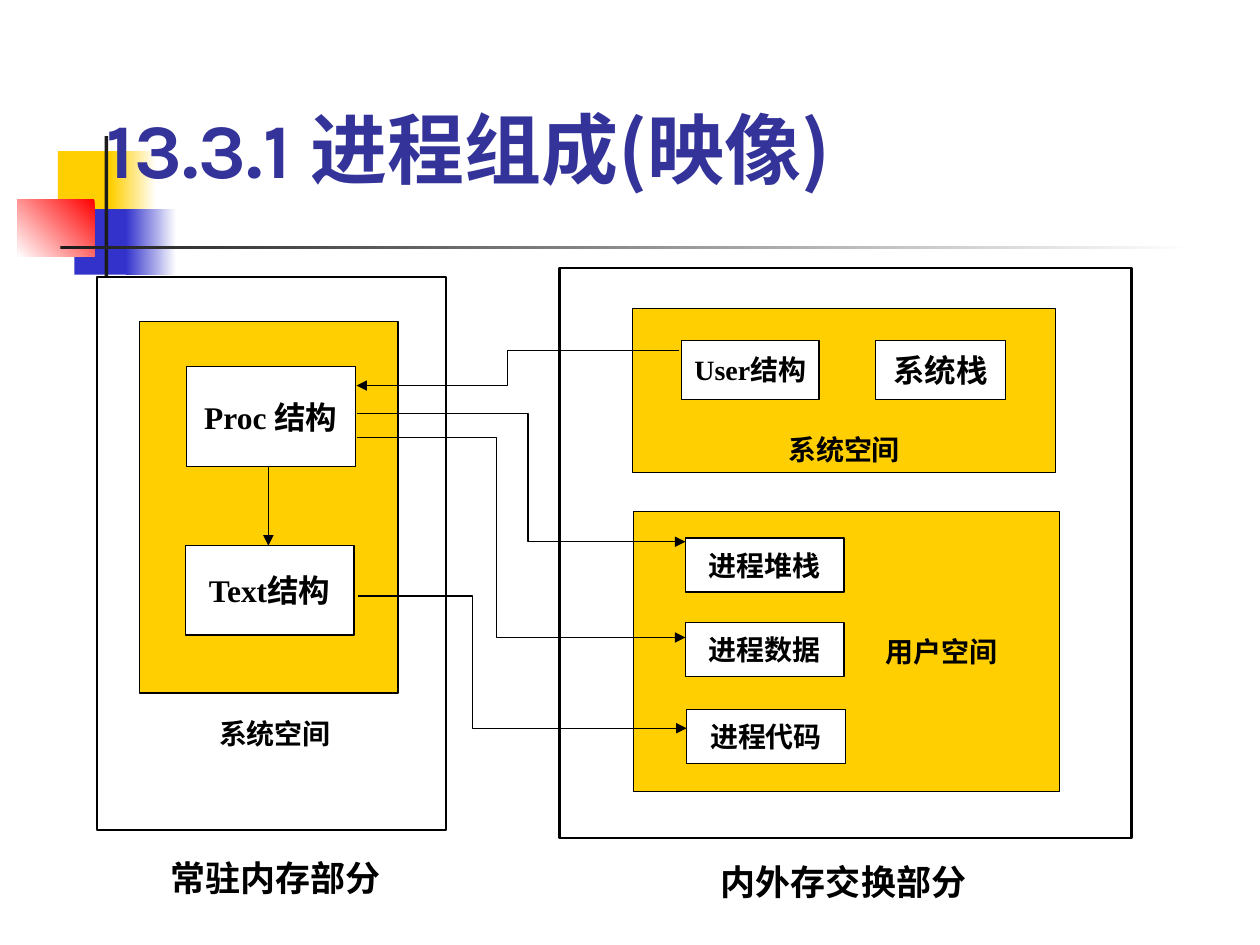
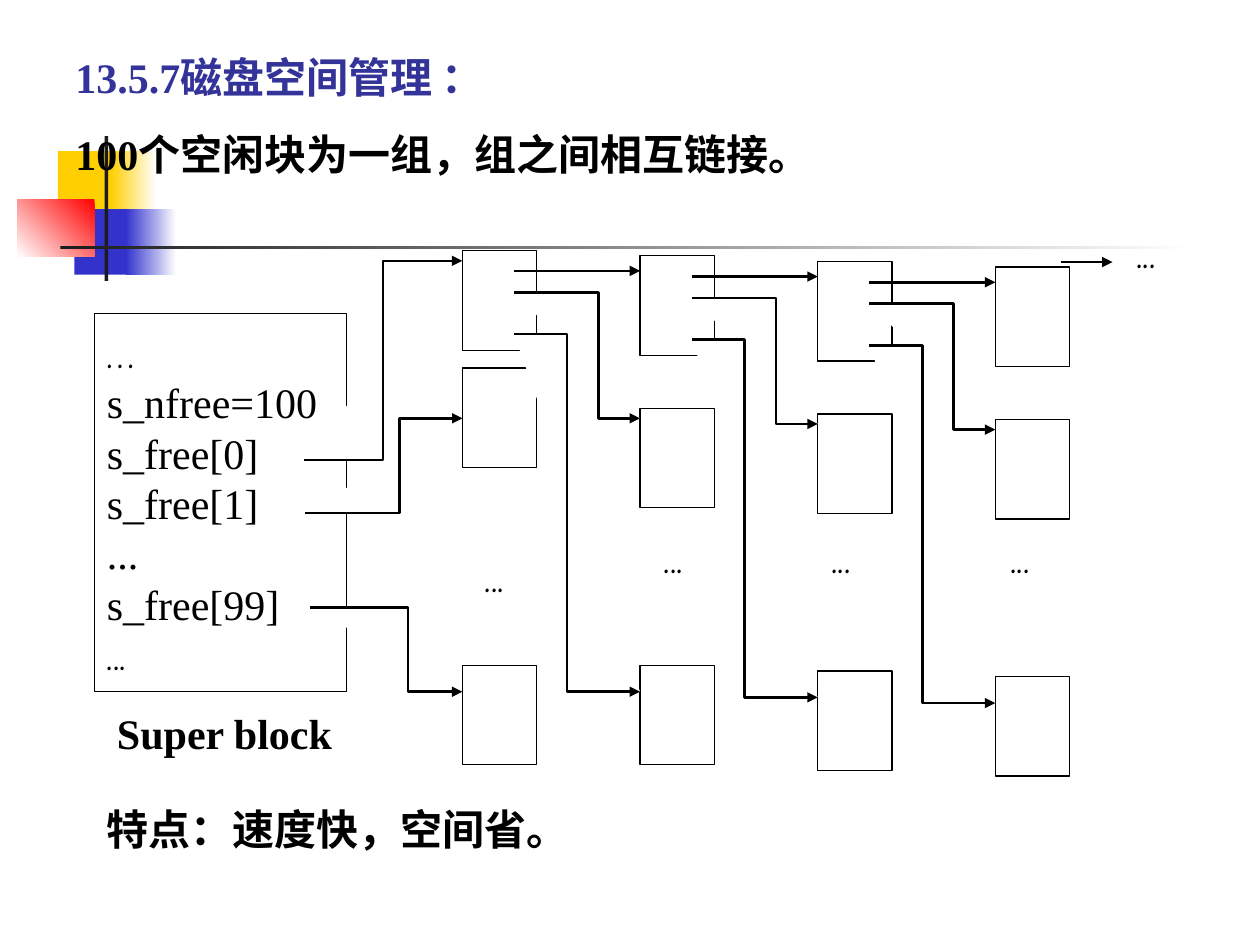
from dataclasses import dataclass
from typing import Optional

from lxml import etree
from pptx import Presentation
from pptx.dml.color import RGBColor
from pptx.enum.shapes import MSO_CONNECTOR, MSO_SHAPE
from pptx.enum.text import MSO_ANCHOR, PP_ALIGN
from pptx.oxml.ns import qn
from pptx.util import Inches, Pt

RECTANGLE = MSO_SHAPE.RECTANGLE
STRAIGHT = MSO_CONNECTOR.STRAIGHT
LEFT, CENTER = PP_ALIGN.LEFT, PP_ALIGN.CENTER
TOP, MIDDLE, BOTTOM = MSO_ANCHOR.TOP, MSO_ANCHOR.MIDDLE, MSO_ANCHOR.BOTTOM

COLORS = {
    "white": "FFFFFF",
    "black": "000000",
    "gold": "FFCF01",
    "blue": "3333CC",
    "red": "FF0000",
    "bar": "1C1C1C",
    "title": "333399",
}
SERIF, COMIC, SANS, HEADING = "Times New Roman", "Comic Neue", "Noto Sans CJK SC", "Karla"


@dataclass(frozen=True)
class Area:
    left: float
    top: float
    width: float
    height: float

    def emu(self) -> list:
        return [Inches(v) for v in (self.left, self.top, self.width, self.height)]


@dataclass(frozen=True)
class Ornament:
    area: Area
    color: str
    fade_angle: Optional[int] = None


@dataclass(frozen=True)
class Line:
    spans: tuple
    size: float = 24
    font: str = SERIF
    color: str = "black"
    bold: bool = True
    align: int = LEFT
    before: float = 0


@dataclass(frozen=True)
class Block:
    area: Area
    text: str = ""
    size: float = 16
    fill: str = "white"
    weight: float = 0.75
    anchor: int = MIDDLE
    left_inset: float = 0.1


@dataclass(frozen=True)
class Elbow:
    start: tuple
    turn: float
    end: tuple


ORNAMENTS = (
    Ornament(Area(0.46, 1.2, 0.48, 0.52), "gold"),
    Ornament(Area(0.88, 1.2, 0.36, 0.52), "gold", 0),
    Ornament(Area(0.59, 1.66, 0.46, 0.52), "blue"),
    Ornament(Area(1, 1.66, 0.4, 0.52), "blue", 0),
    Ornament(Area(0.14, 1.58, 0.61, 0.46), "red", 225),
    Ornament(Area(0.83, 1.08, 0.03, 1.15), "bar"),
    Ornament(Area(0.48, 1.95, 9, 0.03), "bar", 0),
)

PROCESS_BLOCKS = (
    Block(Area(0.77, 2.2, 2.77, 4.39), weight=1.25),
    Block(Area(4.44, 2.13, 4.54, 4.52), weight=1.25),
    Block(Area(1.11, 2.55, 2.05, 2.95), fill="gold"),
    Block(Area(1.48, 2.91, 1.34, 0.79), "Proc 结构", 18),
    Block(Area(1.47, 4.33, 1.34, 0.71), "Text结构", 18),
    Block(Area(5.02, 2.45, 3.36, 1.3), "系统空间", fill="gold", anchor=BOTTOM),
    Block(Area(5.03, 4.06, 3.38, 2.22), "用户空间", fill="gold", left_inset=1.6),
    Block(Area(5.41, 2.7, 1.09, 0.47), "User结构"),
    Block(Area(6.95, 2.7, 1.03, 0.47), "系统栈", 18),
    Block(Area(5.44, 4.27, 1.26, 0.43), "进程堆栈"),
    Block(Area(5.44, 4.94, 1.26, 0.43), "进程数据"),
    Block(Area(5.45, 5.63, 1.26, 0.43), "进程代码"),
)
PROCESS_LABELS = (
    (Area(1.03, 6.75, 2.31, 0.44), "常驻内存部分", 20, CENTER),
    (Area(5.54, 6.78, 2.31, 0.44), "内外存交换部分", 20, CENTER),
    (Area(1.64, 5.64, 1.11, 0.37), "系统空间", 16, LEFT),
)
PROCESS_LINKS = (
    Elbow((5.39, 2.78), 4.03, (2.83, 3.06)),
    Elbow((2.83, 3.28), 4.19, (5.44, 4.3)),
    Elbow((2.83, 3.47), 3.94, (5.44, 5.06)),
    Elbow((2.84, 4.73), 3.75, (5.45, 5.78)),
)

SUPER_BLOCK_ROWS = ("…", "s_nfree=100", "s_free[0]", "s_free[1]", "...", "s_free[99]", "...")
SUPER_BLOCK_LINKS = (
    Elbow((2.41, 3.65), 3.04, (3.67, 2.07)),
    Elbow((2.42, 4.07), 3.17, (3.67, 3.32)),
    Elbow((2.46, 4.82), 3.24, (3.67, 5.49)),
)
FIRST_GROUP_LEFT, GROUP_PITCH, GROUP_RISE = 3.67, 1.41, 0.045
ELLIPSIS_PLACES = ((8.92, 1.75), (7.92, 4.17), (6.5, 4.17), (5.17, 4.17))


def color_of(name: str) -> RGBColor:
    return RGBColor.from_string(COLORS[name])


def paint(shape, fill: Optional[str], weight: float = 0) -> None:
    shape.shadow.inherit = False
    if fill:
        shape.fill.solid()
        shape.fill.fore_color.rgb = color_of(fill)
    else:
        shape.fill.background()
    if weight:
        shape.line.color.rgb = color_of("black")
        shape.line.width = Pt(weight)
    else:
        shape.line.fill.background()


def write(frame, lines: list, anchor: int = TOP, wrap: bool = True) -> None:
    frame.word_wrap = wrap
    frame.vertical_anchor = anchor
    for index, line in enumerate(lines):
        para = frame.add_paragraph() if index else frame.paragraphs[0]
        para.alignment = line.align
        para.space_before = Pt(line.before)
        para.font.name = line.font
        para.font.size = Pt(line.size)
        para.font.bold = line.bold
        para.font.color.rgb = color_of(line.color)
        for text, font in line.spans:
            span = para.add_run()
            span.text = text
            if font != line.font:
                span.font.name = font


def plain(text: str, font: str = SERIF, **style) -> Line:
    return Line(((text, font),), font=font, **style)


def add_text(page, area: Area, lines: list, anchor: int = TOP, fill: Optional[str] = None) -> None:
    box = page.shapes.add_textbox(*area.emu())
    if fill:
        box.fill.solid()
        box.fill.fore_color.rgb = color_of(fill)
    write(box.text_frame, lines, anchor)


def add_block(page, block: Block):
    box = page.shapes.add_shape(RECTANGLE, *block.area.emu())
    paint(box, block.fill, block.weight)
    if block.text:
        box.text_frame.margin_left = Inches(block.left_inset)
        write(box.text_frame, [plain(block.text, size=block.size, align=CENTER)], block.anchor, False)
    return box


def add_arrowhead(shape) -> None:
    outline = shape._element.spPr.find(qn("a:ln"))
    etree.SubElement(outline, qn("a:tailEnd"), type="triangle")


def add_elbow(page, elbow: Elbow, weight: float, fill: Optional[str] = None) -> None:
    points = (elbow.start, (elbow.turn, elbow.start[1]), (elbow.turn, elbow.end[1]), elbow.end)
    first, *rest = [(Inches(x), Inches(y)) for x, y in points]
    builder = page.shapes.build_freeform(*first)
    builder.add_line_segments(rest, close=False)
    shape = builder.convert_to_shape()
    paint(shape, fill, weight)
    add_arrowhead(shape)


def add_arrow(page, start: tuple, end: tuple, weight: float) -> None:
    arrow = page.shapes.add_connector(STRAIGHT, *[Inches(v) for v in start + end])
    arrow.line.color.rgb = color_of("black")
    arrow.line.width = Pt(weight)
    add_arrowhead(arrow)
    etree.SubElement(arrow._element.spPr, qn("a:effectLst"))


def add_page(deck):
    page = deck.slides.add_slide(deck.slide_layouts[6])
    for ornament in ORNAMENTS:
        shape = page.shapes.add_shape(RECTANGLE, *ornament.area.emu())
        paint(shape, ornament.color)
        if ornament.fade_angle is not None:
            shape.fill.gradient()
            shape.fill.gradient_angle = ornament.fade_angle
            for stop, name in zip(shape.fill.gradient_stops, (ornament.color, "white")):
                stop.color.rgb = color_of(name)
    return page


def add_ellipsis(page, left: float, top: float, fill: Optional[str] = None) -> None:
    add_text(page, Area(left, top, 0.58, 0.5), [plain("...", COMIC, bold=False, before=15)], fill=fill)


def add_disk_blocks(page, left: float, tops: tuple) -> None:
    for top in tops:
        add_block(page, Block(Area(left, top, 0.59, 0.79)))


def build_process_page(deck) -> None:
    page = add_page(deck)
    title = Line((("13.3.1 进程组成", HEADING), ("(映像)", SANS)), 44, HEADING, "title")
    add_text(page, Area(0.75, 0.34, 8.5, 1.25), [title], BOTTOM)
    for block in PROCESS_BLOCKS:
        add_block(page, block)
    for area, text, size, align in PROCESS_LABELS:
        add_text(page, area, [plain(text, size=size, align=align, before=size * 0.625)])
    for link in PROCESS_LINKS:
        add_elbow(page, link, 0.75)
    add_arrow(page, (2.13, 3.71), (2.13, 4.33), 0.75)


def build_disk_page(deck) -> None:
    page = add_page(deck)
    heading = Line((("13.5.7", SERIF), ("磁盘空间管理", SANS), (" ：", SERIF)), color="title", before=15)
    summary = plain("100个空闲块为一组，组之间相互链接。", before=15)
    add_text(page, Area(0.5, 0.36, 8.83, 1.72), [heading, summary])

    add_disk_blocks(page, FIRST_GROUP_LEFT, (2.92,))
    super_block = add_block(page, Block(Area(0.75, 2.49, 2, 3)))
    last = len(SUPER_BLOCK_ROWS) - 1
    rows = [plain(text, COMIC if index in (0, last) else SERIF, bold=False)
            for index, text in enumerate(SUPER_BLOCK_ROWS)]
    write(super_block.text_frame, rows, MIDDLE, False)
    add_text(page, Area(0.83, 5.57, 1.92, 0.5), [plain("Super block", before=15)], fill="white")
    add_disk_blocks(page, FIRST_GROUP_LEFT, (1.99, 5.28))
    add_ellipsis(page, 3.75, 4.32, "white")
    for link in SUPER_BLOCK_LINKS:
        add_elbow(page, link, 1.5, "white")

    for group in range(1, 4):
        left = FIRST_GROUP_LEFT + group * GROUP_PITCH
        rise = (group - 1) * GROUP_RISE
        add_disk_blocks(page, left, (3.24 + rise, 5.28 + rise, 2.03 + rise))
        add_arrow(page, (left - 1, 2.15 + rise), (left, 2.15 + rise), 1.5)
        for start_y, turn, end_y in ((2.32, 0.33, 3.32), (2.65, 0.58, 5.49)):
            link = Elbow((left - 1, start_y + rise), left - turn, (left, end_y + rise))
            add_elbow(page, link, 1.5, "white")

    add_arrow(page, (8.42, 2.08), (8.83, 2.08), 1.5)
    for left, top in ELLIPSIS_PLACES:
        add_ellipsis(page, left, top)
    add_text(page, Area(0.75, 6.33, 7.83, 0.5), [plain("特点：速度快，空间省。", before=15)])


def main() -> None:
    deck = Presentation()
    deck.slide_width, deck.slide_height = Inches(10), Inches(7.5)
    build_process_page(deck)
    build_disk_page(deck)
    deck.save("out.pptx")


if __name__ == "__main__":
    main()
